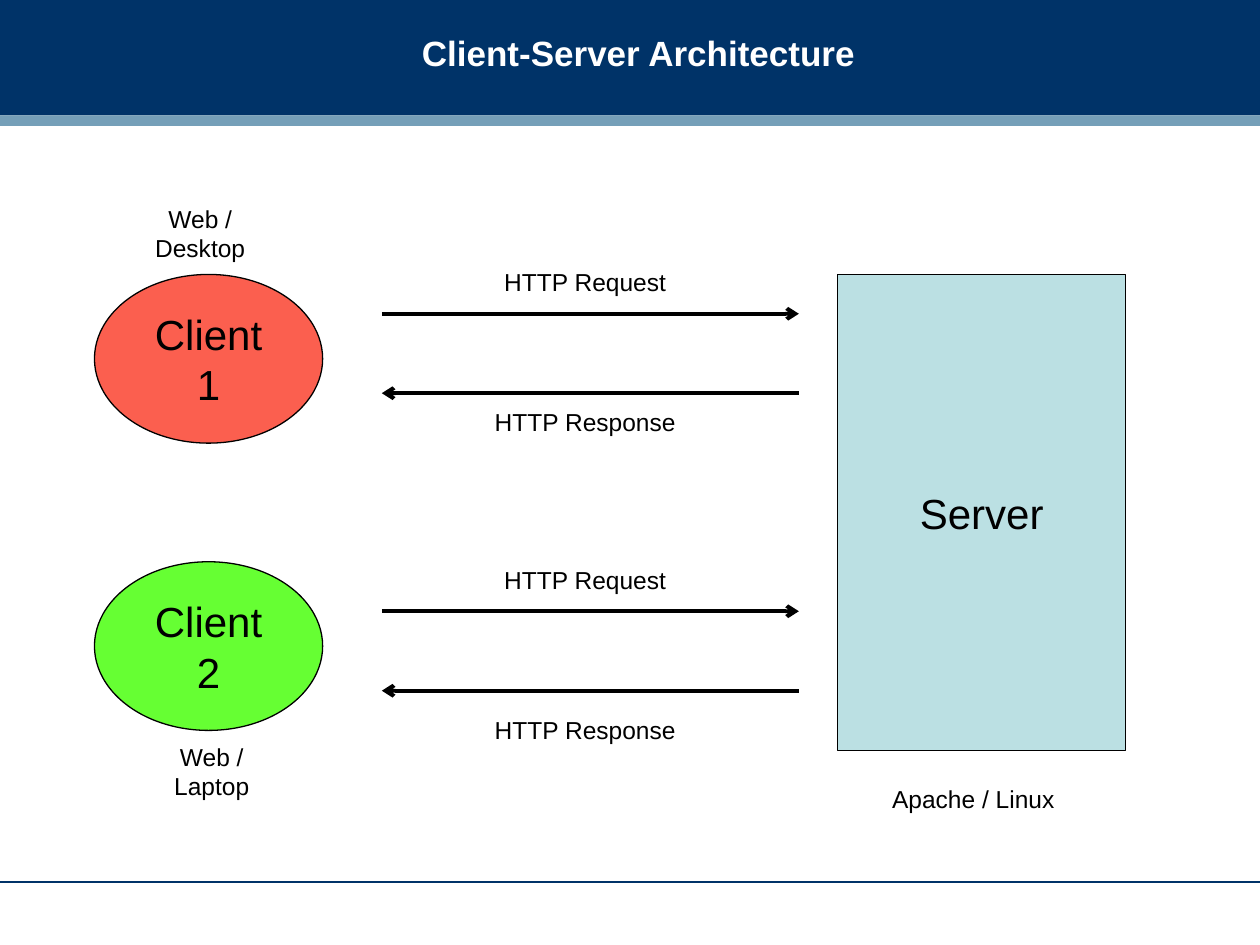
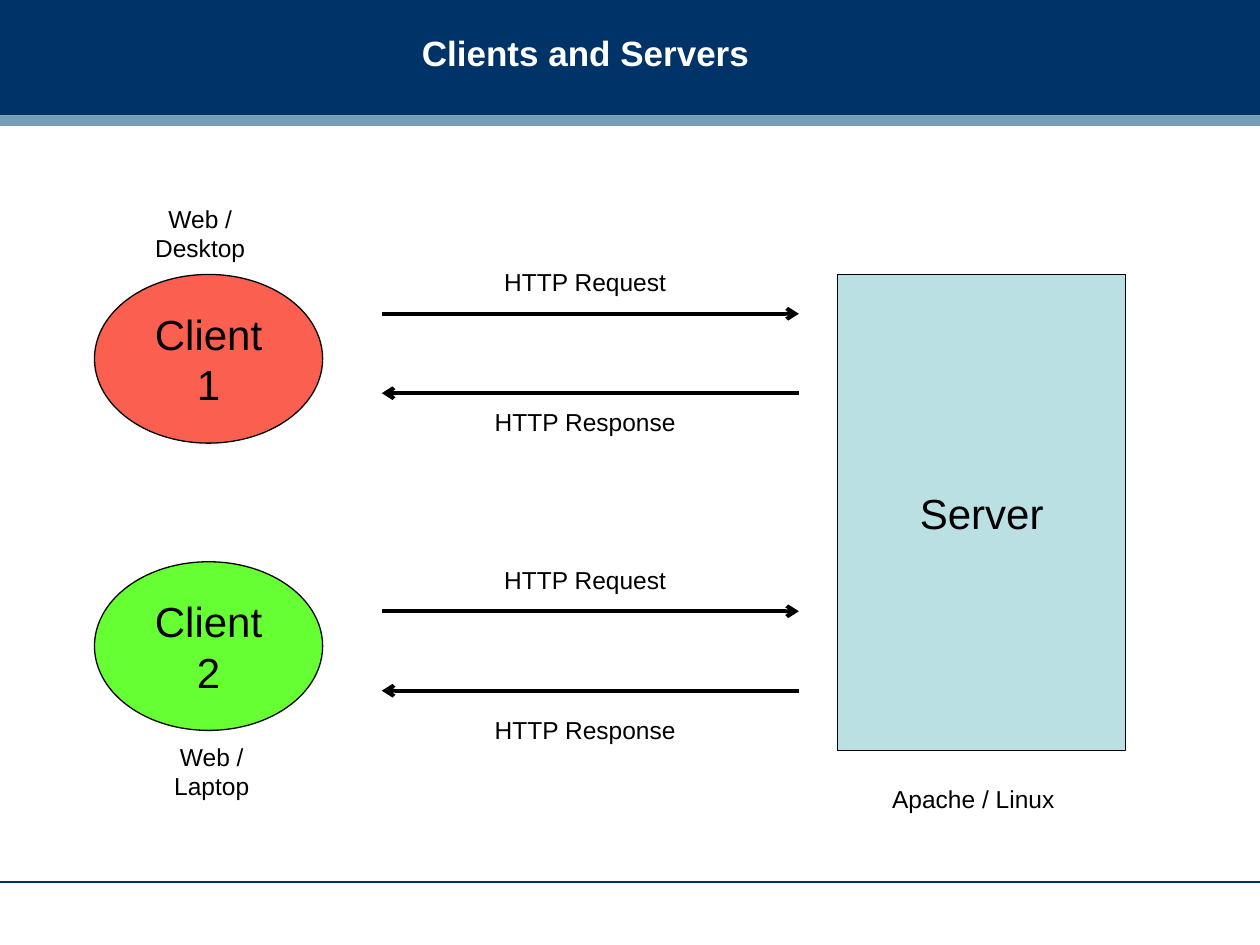
from pptx import Presentation
from pptx.dml.color import RGBColor
from pptx.enum.shapes import MSO_CONNECTOR, MSO_SHAPE
from pptx.enum.text import MSO_ANCHOR, PP_ALIGN
from pptx.oxml.ns import qn
from pptx.util import Pt
from lxml import etree

RECTANGLE, OVAL = MSO_SHAPE.RECTANGLE, MSO_SHAPE.OVAL
STRAIGHT = MSO_CONNECTOR.STRAIGHT
LEFT, CENTER = PP_ALIGN.LEFT, PP_ALIGN.CENTER
MIDDLE = MSO_ANCHOR.MIDDLE

NAVY = RGBColor(0x00, 0x33, 0x68)
STEEL = RGBColor(0x75, 0x9F, 0xB8)
WHITE = RGBColor(0xFF, 0xFF, 0xFF)
BLACK = RGBColor(0x00, 0x00, 0x00)
AQUA = RGBColor(0xBB, 0xE0, 0xE3)
CORAL = RGBColor(0xFB, 0x5F, 0x4F)
GREEN = RGBColor(0x66, 0xFF, 0x33)

FONT = "Arial"
WIDTH, HEIGHT = 720, 540
BAND_HEIGHT, STRIP_HEIGHT = 66, 6
FOOTER_Y = 504
ARROW_LEFT, ARROW_RIGHT = 218.2, 456.5
REQUEST_Y, RESPONSE_GAP, EXCHANGE_STEP = 179.3, 45.4, 170

TITLES = ["Client-Server Architecture", "Clients and Servers"]

# kind, left, top, width, height, fill, line, text
BLOCKS = [
    (RECTANGLE, 0, 0, WIDTH, BAND_HEIGHT, NAVY, None, ""),
    (RECTANGLE, 0, BAND_HEIGHT, WIDTH, STRIP_HEIGHT, STEEL, None, ""),
    (RECTANGLE, 478.8, 156.8, 164.4, 272, AQUA, BLACK, "Server"),
    (OVAL, 54, 156.8, 130.4, 96.4, CORAL, BLACK, "Client 1"),
    (OVAL, 54, 321, 130.4, 96.4, GREEN, BLACK, "Client 2"),
]

# text, center, top, width
LABELS = [
    ("HTTP Request", 334.4, 149, 107.4),
    ("HTTP Request", 334.4, 149 + EXCHANGE_STEP, 107.4),
    ("HTTP Response", 334.4, 229, 118),
    ("HTTP Response", 334.4, 404.6, 118),
    ("Web / Desktop", 114.4, 121, 96.4),
    ("Web / Laptop", 121, 428.6, 92),
    ("Apache / Linux", 556.2, 444.4, 107.4),
]


def write(shape, text, size, color, align, wrap=True, bold=False):
    frame = shape.text_frame
    frame.word_wrap = wrap
    frame.vertical_anchor = MIDDLE
    para = frame.paragraphs[0]
    para.alignment = align
    span = para.add_run()
    span.text = text
    span.font.name = FONT
    span.font.size = Pt(size)
    span.font.bold = bold
    span.font.color.rgb = color


def draw_line(page, start, end, y, color, weight, arrow=False):
    """Draw a horizontal line, with an open arrowhead at its end if asked."""
    line = page.shapes.add_connector(STRAIGHT, Pt(start), Pt(y), Pt(end), Pt(y))
    line.line.color.rgb = color
    line.line.width = Pt(weight)
    if arrow:
        outline = line.line._get_or_add_ln()
        etree.SubElement(outline, qn("a:tailEnd"), type="arrow")
    etree.SubElement(line._element.spPr, qn("a:effectLst"))


deck = Presentation()
deck.slide_width, deck.slide_height = Pt(WIDTH), Pt(HEIGHT)
blank = deck.slide_layouts[6]

for title in TITLES:
    page = deck.slides.add_slide(blank)
    draw_line(page, 0, WIDTH, FOOTER_Y, NAVY, 0.75)

    for kind, left, top, width, height, fill, line, text in BLOCKS:
        block = page.shapes.add_shape(kind, Pt(left), Pt(top), Pt(width), Pt(height))
        block.shadow.inherit = False
        block.fill.solid()
        block.fill.fore_color.rgb = fill
        if line is None:
            block.line.fill.background()
        else:
            block.line.color.rgb = line
            block.line.width = Pt(0.75)
        if text:
            write(block, text, 24, BLACK, CENTER)

    box = page.shapes.add_textbox(Pt(234), Pt(0), Pt(474), Pt(60))
    write(box, title, 20, WHITE, LEFT, bold=True)

    for exchange in range(2):
        y = REQUEST_Y + exchange * EXCHANGE_STEP
        draw_line(page, ARROW_LEFT, ARROW_RIGHT, y, BLACK, 2.25, arrow=True)
        draw_line(page, ARROW_RIGHT, ARROW_LEFT, y + RESPONSE_GAP, BLACK, 2.25, arrow=True)

    for text, center, top, width in LABELS:
        box = page.shapes.add_textbox(Pt(center - width / 2), Pt(top), Pt(width), Pt(24.4))
        write(box, text, 14, BLACK, CENTER, wrap=False)

deck.save("out.pptx")
